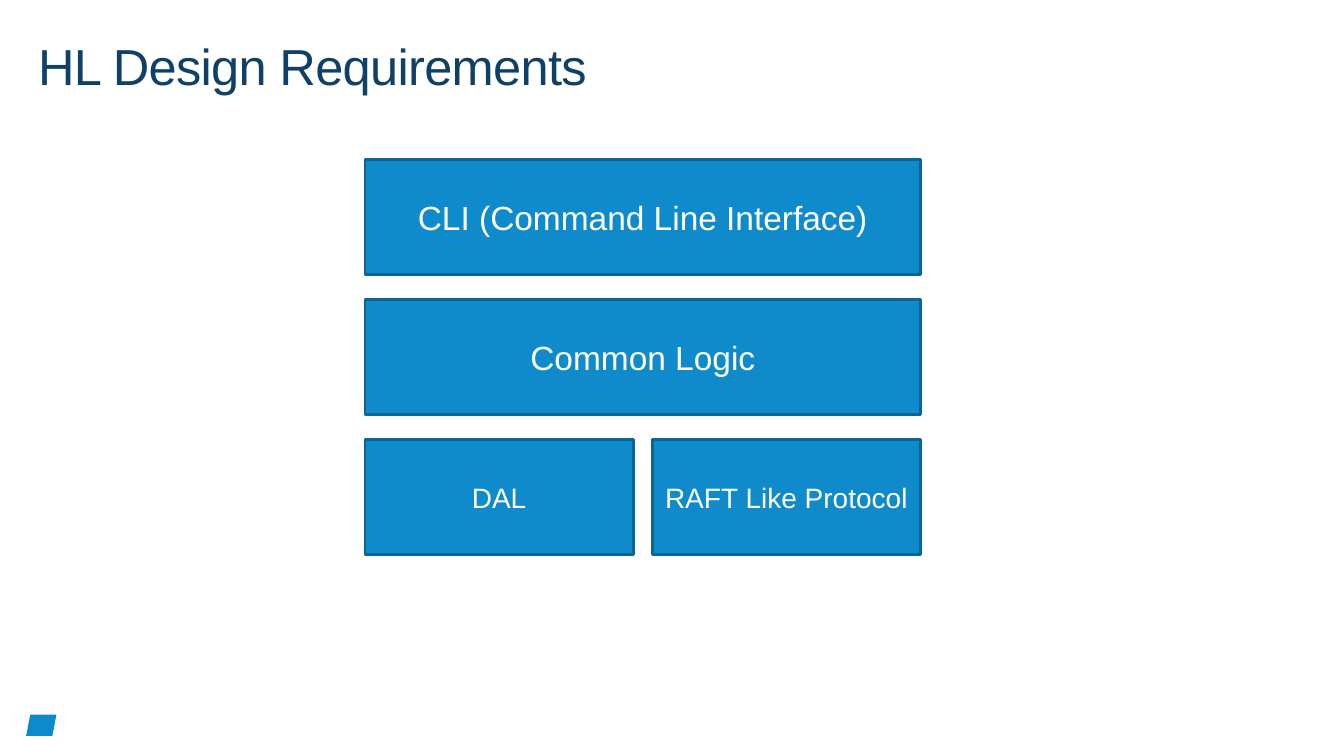
from pptx import Presentation
from pptx.dml.color import RGBColor
from pptx.enum import shapes, text
from pptx.util import Inches, Pt

COLORS = {
    "title": "0F4068",
    "layer": "0F8ACB",
    "outline": "0B6696",
    "label": "FFFFFF",
    "accent": "0B8BCC",
}
FONT = "Arial"

# Each row of the stack: its labels and their text size
LAYERS = [
    (["CLI (Command Line Interface)"], 23.9),
    (["Common Logic"], 23.9),
    (["DAL", "RAFT Like Protocol"], 20),
]
ROW_GAP = 0.25
COLUMN_GAP = 0.19


def color(name):
    return RGBColor.from_string(COLORS[name])


def style(paragraph, size, color_name):
    paragraph.font.name = FONT
    paragraph.font.size = Pt(size)
    paragraph.font.color.rgb = color(color_name)


def add_accent(slide, left, top, width, height):
    accent = slide.shapes.add_shape(
        shapes.MSO_SHAPE.PARALLELOGRAM,
        Inches(left), Inches(top), Inches(width), Inches(height))
    accent.adjustments[0] = 0.19
    accent.shadow.inherit = False
    accent.fill.solid()
    accent.fill.fore_color.rgb = color("accent")
    accent.line.fill.background()


def add_title(slide, title, left, top, width, height):
    heading = slide.shapes.add_textbox(
        Inches(left), Inches(top), Inches(width), Inches(height))
    frame = heading.text_frame
    frame.word_wrap = True
    frame.vertical_anchor = text.MSO_ANCHOR.BOTTOM
    paragraph = frame.paragraphs[0]
    run = paragraph.add_run()
    run.text = title
    style(paragraph, 36.1, "title")
    # Letter spacing in hundredths of a point
    run._r.get_or_add_rPr().set("spc", "-50")


def add_layer(stack, label, size, left, top, width, height):
    layer = stack.shapes.add_shape(
        shapes.MSO_SHAPE.RECTANGLE,
        Inches(left), Inches(top), Inches(width), Inches(height))
    layer.shadow.inherit = False
    layer.fill.solid()
    layer.fill.fore_color.rgb = color("layer")
    layer.line.color.rgb = color("outline")
    layer.line.width = Pt(2)
    frame = layer.text_frame
    frame.word_wrap = True
    frame.vertical_anchor = text.MSO_ANCHOR.MIDDLE
    paragraph = frame.paragraphs[0]
    paragraph.text = label
    paragraph.alignment = text.PP_ALIGN.CENTER
    style(paragraph, size, "label")


def add_layer_stack(slide, left, top, width, height):
    stack = slide.shapes.add_group_shape()
    row_height = (height - ROW_GAP * (len(LAYERS) - 1)) / len(LAYERS)
    for row, (labels, size) in enumerate(LAYERS):
        row_top = top + row * (row_height + ROW_GAP)
        # The labels of a row share its width equally
        layer_width = (width - COLUMN_GAP * (len(labels) - 1)) / len(labels)
        for column, label in enumerate(labels):
            layer_left = left + column * (layer_width + COLUMN_GAP)
            add_layer(stack, label, size,
                      layer_left, row_top, layer_width, row_height)


def main():
    deck = Presentation()
    deck.slide_width = Inches(13.33)
    deck.slide_height = Inches(7.5)
    slide = deck.slides.add_slide(deck.slide_layouts[6])

    add_accent(slide, 0.26, 7.09, 0.3, 0.21)
    add_title(slide, "HL Design Requirements", 0.28, 0.29, 12.78, 0.71)
    add_layer_stack(slide, 3.62, 1.58, 5.51, 3.92)

    deck.save("out.pptx")


if __name__ == "__main__":
    main()
